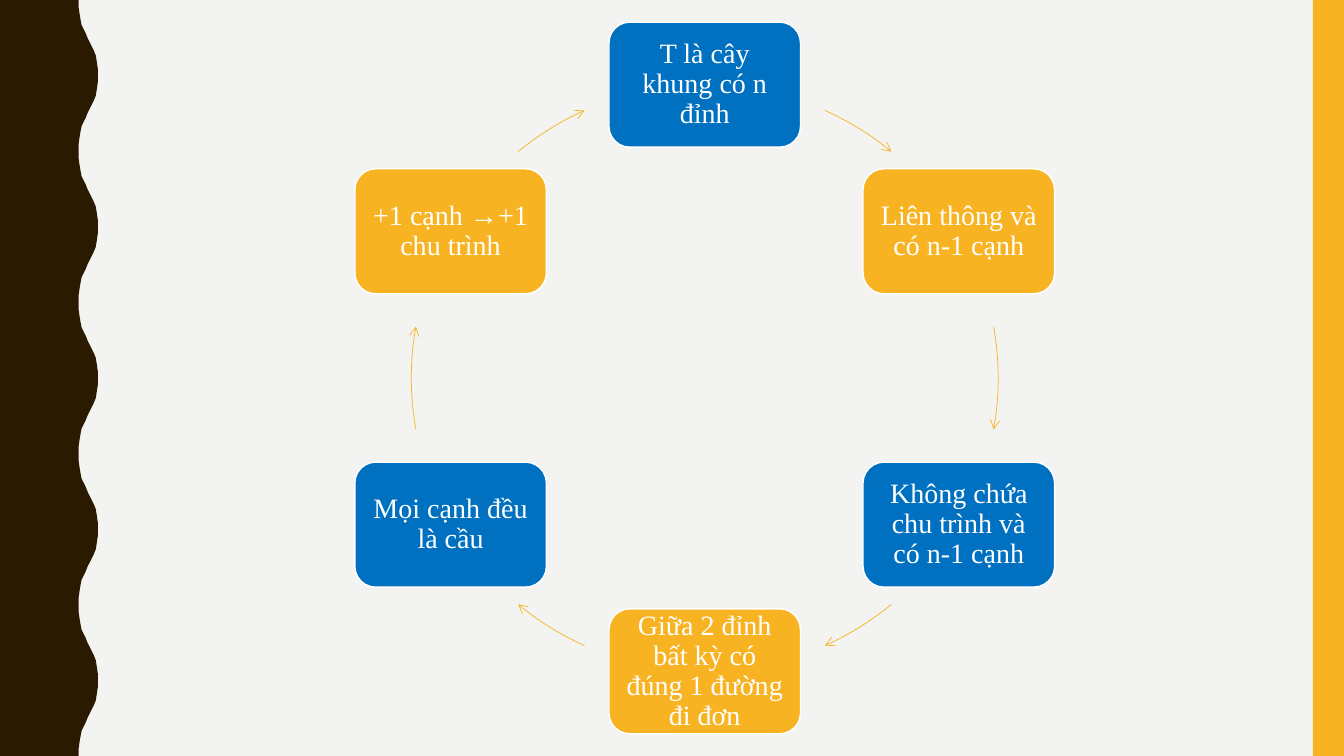
import math

import lxml.etree
import pptx
import pptx.dml.color
import pptx.enum.shapes
import pptx.enum.text
import pptx.oxml.ns
import pptx.util

Inches = pptx.util.Inches
Shapes = pptx.enum.shapes.MSO_SHAPE

DARK, GOLD, BLUE = "2A1A00", "F8B323", "0070C0"
WHITE, PAPER = "FFFFFF", "F3F3F2"
CENTER_X, CENTER_Y, RADIUS = 6.99, 3.75, 2.91
NODE_WIDTH, NODE_HEIGHT = 1.9, 1.24
LOBE_HEIGHT = 1.5

STATEMENTS = [
    "T là cây khung có n đỉnh",
    "Liên thông và có n-1 cạnh",
    "Không chứa chu trình và có n-1 cạnh",
    "Giữa 2 đỉnh bất kỳ có đúng 1 đường đi đơn",
    "Mọi cạnh đều là cầu",
    "+1 cạnh →+1 chu trình",
]
ARROW_ANGLES = [
    (294.2, 309.5), (349.9, 10.1), (50.5, 65.8),
    (114.2, 129.5), (169.9, 190.1), (230.5, 245.8),
]
WAVE_RISE = [
    (0.78, 0), (0.78, 0.07), (0.79, 0.14), (0.8, 0.2), (0.81, 0.25),
    (0.83, 0.29), (0.85, 0.33), (0.87, 0.38), (0.89, 0.42), (0.91, 0.46),
    (0.93, 0.5), (0.95, 0.55), (0.96, 0.61), (0.97, 0.68), (0.97, 0.75),
]


def color(value):
    return pptx.dml.color.RGBColor.from_string(value)


class CycleSlide:
    font_name = "Times New Roman"
    font_size = pptx.util.Pt(20)

    def __init__(self, presentation):
        self.slide = presentation.slides.add_slide(presentation.slide_layouts[6])
        background = self.slide.background.fill
        background.solid()
        background.fore_color.rgb = color(PAPER)

    def paint(self, shape, fill=None, line=None, width=1):
        shape.shadow.inherit = False
        if fill:
            shape.fill.solid()
            shape.fill.fore_color.rgb = color(fill)
        else:
            shape.fill.background()
        if line:
            shape.line.color.rgb = color(line)
            shape.line.width = pptx.util.Pt(width)
        else:
            shape.line.fill.background()

    def shape(self, kind, left, top, width, height):
        return self.slide.shapes.add_shape(
            kind, Inches(left), Inches(top), Inches(width), Inches(height))

    def band(self, left, width):
        self.paint(self.shape(Shapes.RECTANGLE, left, 0, width, 7.5), GOLD)

    def wave(self):
        lobe = WAVE_RISE + [(x, LOBE_HEIGHT - y) for x, y in WAVE_RISE[-2::-1]]
        edge = [(x, y + index * LOBE_HEIGHT) for index in range(5) for x, y in lobe]
        builder = self.slide.shapes.build_freeform(0, 0)
        builder.add_line_segments(
            [(Inches(x), Inches(y)) for x, y in edge + [(0, 7.5)]], close=True)
        self.paint(builder.convert_to_shape(), DARK)

    def node(self, text, angle, fill):
        left = CENTER_X + RADIUS * math.cos(angle) - NODE_WIDTH / 2
        top = CENTER_Y + RADIUS * math.sin(angle) - NODE_HEIGHT / 2
        shape = self.shape(Shapes.ROUNDED_RECTANGLE, left, top, NODE_WIDTH, NODE_HEIGHT)
        self.paint(shape, fill, WHITE)
        frame = shape.text_frame
        frame.text = text
        frame.word_wrap = True
        frame.vertical_anchor = pptx.enum.text.MSO_ANCHOR.MIDDLE
        frame.margin_left = frame.margin_right = Inches(0.08)
        frame.margin_top = frame.margin_bottom = Inches(0.08)
        paragraph = frame.paragraphs[0]
        paragraph.alignment = pptx.enum.text.PP_ALIGN.CENTER
        paragraph.line_spacing = 0.9
        font = paragraph.runs[0].font
        font.name = self.font_name
        font.size = self.font_size
        font.color.rgb = color(WHITE)

    def arrow(self, start, end):
        arc = self.shape(Shapes.ARC, CENTER_X - RADIUS, CENTER_Y - RADIUS,
                         2 * RADIUS, 2 * RADIUS)
        arc.adjustments[0] = start * 0.6
        arc.adjustments[1] = end * 0.6
        self.paint(arc, line=GOLD, width=0.5)
        line = arc.line._get_or_add_ln()
        lxml.etree.SubElement(line, pptx.oxml.ns.qn("a:tailEnd"), type="arrow")


def main():
    presentation = pptx.Presentation()
    presentation.slide_width = Inches(13.33)
    presentation.slide_height = Inches(7.5)
    cycle = CycleSlide(presentation)
    cycle.wave()
    cycle.band(13.02, 0.31)
    for index, (statement, angles) in enumerate(zip(STATEMENTS, ARROW_ANGLES)):
        fill = GOLD if index % 2 else BLUE
        cycle.node(statement, math.radians(60 * index - 90), fill)
        cycle.arrow(*angles)
    presentation.save("out.pptx")


if __name__ == "__main__":
    main()
